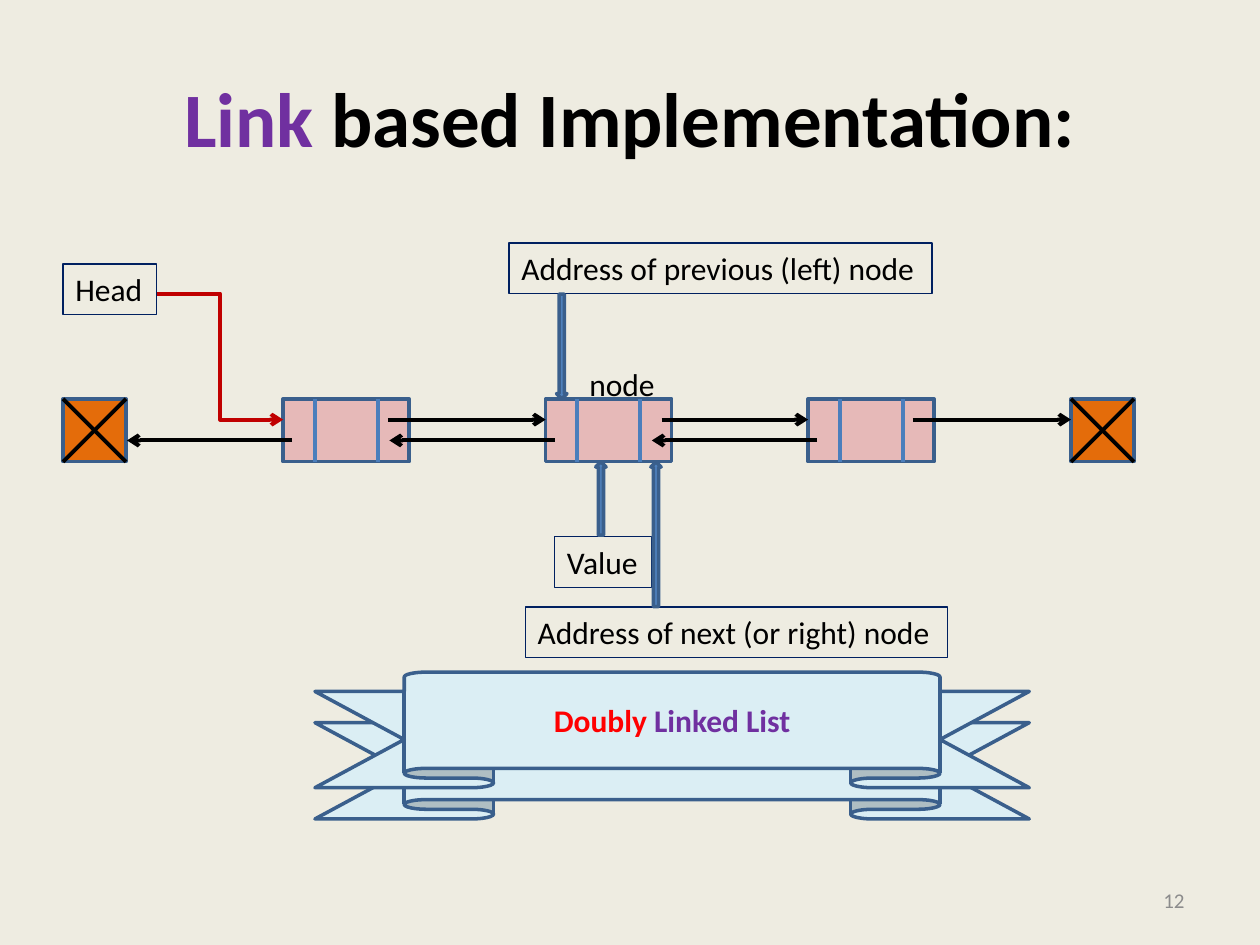
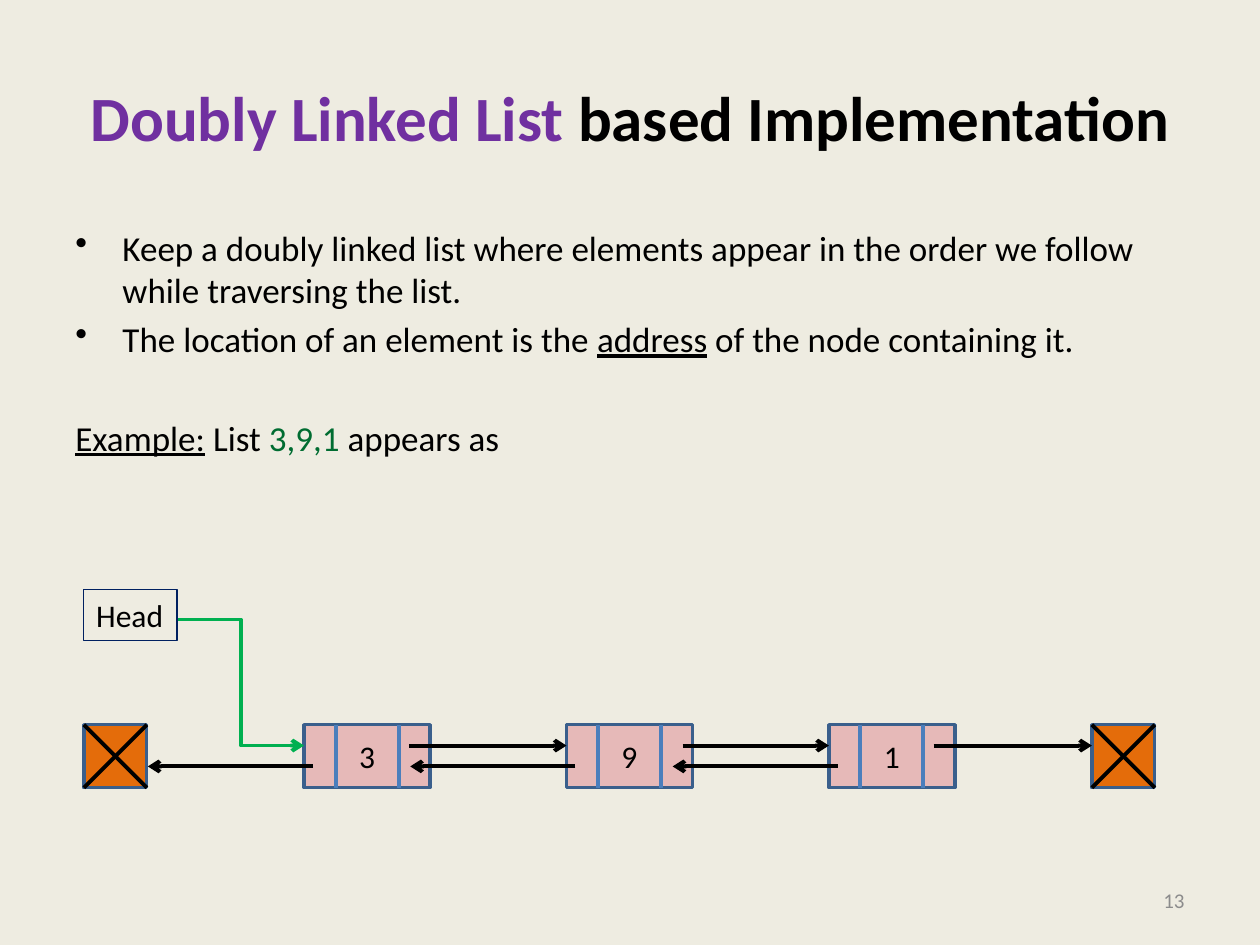
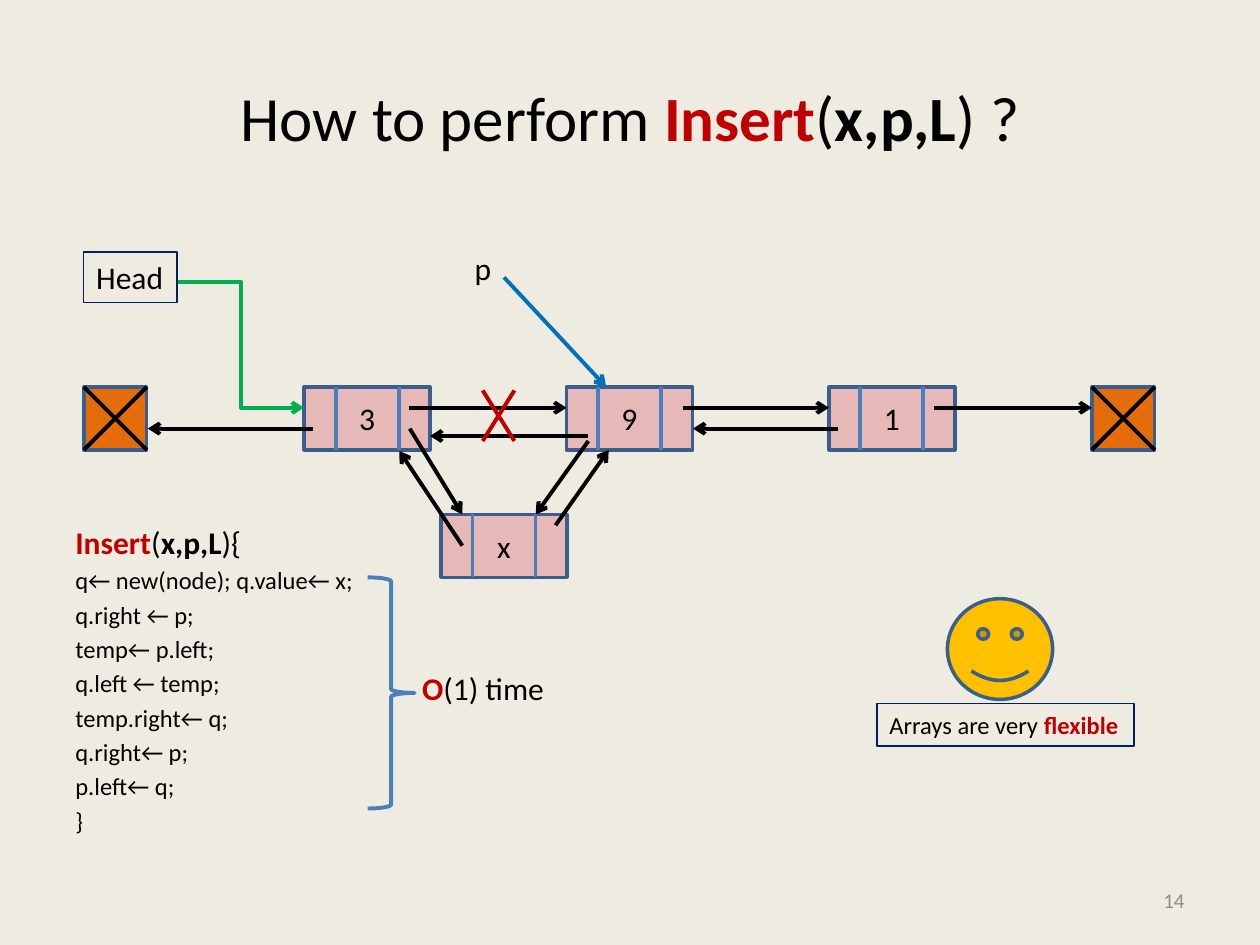
from dataclasses import dataclass
from itertools import pairwise

from lxml.etree import SubElement
from pptx import Presentation
from pptx.dml.color import RGBColor
from pptx.enum.shapes import MSO_CONNECTOR as Link, MSO_SHAPE as Preset
from pptx.enum.text import MSO_ANCHOR as Anchor, MSO_AUTO_SIZE as AutoSize, PP_ALIGN as Align
from pptx.oxml.ns import qn
from pptx.util import Cm, Pt


@dataclass(frozen=True)
class Theme:
    """Colours, type sizes and line widths of the deck."""
    font: str = "Calibri"
    paper: str = "EEECE1"
    ink: str = "000000"
    purple: str = "7030A0"
    red: str = "C00000"
    bright_red: str = "FF0000"
    green: str = "00B050"
    dark_green: str = "006C31"
    blue: str = "0070C0"
    grey: str = "8C8C8C"
    node: str = "E6B9B8"
    nil: str = "E46C0A"
    pointer: str = "4F81BD"
    ribbon: str = "DBEEF4"
    smiley: str = "FFC000"
    outline: str = "3A5F8C"
    divider: str = "4B7EBC"
    frame: str = "002060"
    title: int = 36
    big_title: int = 44
    body: int = 20
    label: int = 18
    code: int = 14
    number: int = 12
    edge: float = 2
    stroke: float = 2.25
    hairline: float = 0.75


THEME = Theme()

NODE_WIDTH, CELL_HEIGHT = 2.54, 1.27
FIRST_NODE, NODE_PITCH, RIGHT_NIL = 4.44, 5.29, 20.32
NEXT_DROP, PREVIOUS_DROP = 0.42, 0.84
NEXT_STARTS = (2.11, 2.34, 2.11)
PREVIOUS_LINK = (0.18, 3.33, PREVIOUS_DROP)
LABEL_HEIGHT = 1.02


@dataclass(frozen=True)
class Span:
    """A stretch of text with one look."""
    text: str
    color: str = THEME.ink
    bold: bool = False
    underline: bool = False


def rgb(color):
    """Turn a hex string into a colour."""
    return RGBColor.from_string(color)


def write(paragraph, spans, size, align=Align.LEFT, space_before=0):
    """Fill a paragraph with spans that share font and size."""
    paragraph.alignment = align
    paragraph.space_before = Pt(space_before)
    paragraph.font.name = THEME.font
    paragraph.font.size = Pt(size)
    for span in spans:
        run = paragraph.add_run()
        run.text = span.text
        run.font.color.rgb = rgb(span.color)
        run.font.bold = span.bold
        run.font.underline = span.underline


def add_title(slide, spans, size=THEME.title):
    """Place and write the slide title."""
    title = slide.shapes.title
    title.left, title.top, title.width, title.height = Cm(1.27), Cm(0.76), Cm(22.86), Cm(3.18)
    title.text_frame.vertical_anchor = Anchor.MIDDLE
    write(title.text_frame.paragraphs[0], spans, size, Align.CENTER)


def add_text_area(slide, left, top, width, height):
    """Add a wrapping text box and return its frame."""
    area = slide.shapes.add_textbox(Cm(left), Cm(top), Cm(width), Cm(height)).text_frame
    area.word_wrap = True
    return area


def add_number(slide, number):
    """Add the slide number at the bottom right."""
    area = add_text_area(slide, 18.2, 17.65, 5.93, 1.01)
    area.vertical_anchor = Anchor.MIDDLE
    write(area.paragraphs[0], [Span(str(number), THEME.grey)], THEME.number, Align.RIGHT)


def add_label(slide, left, top, width, spans, framed=True, size=THEME.label, height=LABEL_HEIGHT):
    """Add a one-line label, framed or bare."""
    label = slide.shapes.add_textbox(Cm(left), Cm(top), Cm(width), Cm(height))
    label.text_frame.word_wrap = False
    label.text_frame.auto_size = AutoSize.SHAPE_TO_FIT_TEXT
    if framed:
        label.line.color.rgb = rgb(THEME.frame)
        label.line.width = Pt(THEME.hairline)
    write(label.text_frame.paragraphs[0], spans, size)


def add_preset(slide, preset, left, top, width, height, fill, spans=()):
    """Add an outlined preset shape with optional centred text."""
    shape = slide.shapes.add_shape(preset, Cm(left), Cm(top), Cm(width), Cm(height))
    shape.shadow.inherit = False
    shape.fill.solid()
    shape.fill.fore_color.rgb = rgb(fill)
    shape.line.color.rgb = rgb(THEME.outline)
    shape.line.width = Pt(THEME.edge)
    if spans:
        shape.text_frame.vertical_anchor = Anchor.MIDDLE
        write(shape.text_frame.paragraphs[0], spans, THEME.label, Align.CENTER)
    return shape


def add_line(slide, start, end, color=THEME.ink, arrow=False, kind=Link.STRAIGHT):
    """Connect two points, with an arrowhead at the end if asked."""
    line = slide.shapes.add_connector(kind, *(Cm(v) for v in (*start, *end)))
    line.line.color.rgb = rgb(color)
    line.line.width = Pt(THEME.stroke)
    properties = line._element.spPr
    if arrow:
        SubElement(properties.find(qn("a:ln")), qn("a:tailEnd"), type="arrow")
    SubElement(properties, qn("a:effectLst"))


def add_cross(slide, left, top, width, height, color=THEME.ink):
    """Draw both diagonals of a rectangle."""
    right, bottom = left + width, top + height
    add_line(slide, (left, top), (right, bottom), color)
    add_line(slide, (right, top), (left, bottom), color)


def add_nil(slide, left, top):
    """Draw the crossed square that ends a list."""
    add_preset(slide, Preset.RECTANGLE, left, top, CELL_HEIGHT, CELL_HEIGHT, THEME.nil)
    add_cross(slide, left, top, CELL_HEIGHT, CELL_HEIGHT)


def add_node(slide, left, top, value=""):
    """Draw a node with its two address fields and value."""
    spans = [Span(value)] if value else ()
    add_preset(slide, Preset.RECTANGLE, left, top, NODE_WIDTH, CELL_HEIGHT, THEME.node, spans)
    for share in (0.25, 0.75):
        x = left + share * NODE_WIDTH
        add_line(slide, (x, top), (x, top + CELL_HEIGHT), THEME.divider)


def add_linked_list(slide, left, top, values, head_color, previous_links=(PREVIOUS_LINK,) * 3):
    """Draw a doubly linked list with its head and both ends."""
    nodes = [left + FIRST_NODE + i * NODE_PITCH for i in range(len(values))]
    end = left + RIGHT_NIL
    for x, value in zip(nodes, values):
        add_node(slide, x, top, value)
    for x in (left, end):
        add_nil(slide, x, top)
    next_y = top + NEXT_DROP
    for (x, target), offset in zip(pairwise([*nodes, end]), NEXT_STARTS):
        add_line(slide, (x + offset, next_y), (target, next_y), arrow=True)
    for x, (offset, length, drop) in zip(nodes, previous_links):
        start = x + offset
        add_line(slide, (start, top + drop), (start - length, top + drop), arrow=True)
    add_label(slide, left, top - 2.72, 1.88, [Span("Head")])
    add_line(slide, (left + 1.9, top - 2.12), (nodes[0], next_y), head_color, True, Link.ELBOW)


def add_ribbon(slide, top, spans=()):
    """Draw a caption ribbon."""
    ribbon = add_preset(slide, Preset.UP_RIBBON, 6.35, top, 14.4, 2.33, THEME.ribbon, spans)
    ribbon.adjustments[0], ribbon.adjustments[1] = 0.167, 0.75


def add_brace(slide, left, top, width, height):
    """Draw a right brace."""
    brace = add_preset(slide, Preset.RIGHT_BRACE, left, top, width, height, THEME.paper)
    brace.fill.background()
    brace.line.color.rgb = rgb(THEME.divider)
    brace.line.width = Pt(THEME.stroke)


def add_bullet(paragraph):
    """Give a paragraph a hanging bullet."""
    properties = paragraph._p.get_or_add_pPr()
    properties.set("marL", str(Cm(0.95)))
    properties.set("indent", str(-Cm(0.95)))
    default_font = properties.find(qn("a:defRPr"))
    bullet = SubElement(properties, qn("a:buChar"), char="•")
    default_font.addprevious(bullet)


def build_structure(slide):
    """Explain the fields of a doubly linked node."""
    add_title(slide, [Span("Link ", THEME.purple, True),
                      Span("based Implementation:", bold=True)], THEME.big_title)
    add_label(slide, 11.63, 7.24, 1.85, [Span("node")], framed=False)
    add_linked_list(slide, 1.27, 8.04, ("", "", ""), THEME.red)
    for text, left, top, width in (
        ("Value", 11.18, 10.82, 1.96),
        ("Address of next (or right) node", 10.59, 12.24, 8.51),
        ("Address of previous (left) node", 10.26, 4.9, 8.53),
    ):
        add_label(slide, left, top, width, [Span(text)])
    for preset, left, top, height in (
        (Preset.UP_ARROW, 12.01, 9.31, 1.48),
        (Preset.UP_ARROW, 13.12, 9.31, 2.92),
        (Preset.DOWN_ARROW, 11.22, 5.93, 2.11),
    ):
        add_preset(slide, preset, left, top, 0.21, height, THEME.pointer)
    add_ribbon(slide, 14.18)
    add_ribbon(slide, 13.55, [Span("Doubly ", THEME.bright_red, True),
                              Span("Linked List", THEME.purple, True)])


def build_example(slide):
    """Show the list 3,9,1 as linked nodes."""
    add_title(slide, [Span("Doubly Linked List", THEME.purple, True),
                      Span(" based Implementation", bold=True)])
    area = add_text_area(slide, 1.27, 4.44, 22.86, 12.57)
    points = (
        [Span("Keep a doubly linked list where elements appear in the order "
              "we follow while traversing the list.")],
        [Span("The location of an element is the "), Span("address", underline=True),
         Span(" of the node containing it.")],
    )
    for i, spans in enumerate(points):
        point = area.add_paragraph() if i else area.paragraphs[0]
        write(point, spans, THEME.body, space_before=4)
        add_bullet(point)
    write(area.add_paragraph(), [Span("Example:", underline=True), Span(" List "),
                                 Span("3,9,1 ", THEME.dark_green), Span("appears as")],
          THEME.body, space_before=32.4)
    add_linked_list(slide, 1.69, 14.61, ("3", "9", "1"), THEME.green)


def build_insert(slide):
    """Show how a node is inserted before p."""
    signature = [Span("Insert", THEME.red, True), Span("("), Span("x,p,L", bold=True)]
    add_title(slide, [Span("How to perform "), *signature, Span(") ?")])
    area = add_text_area(slide, 1.27, 10.41, 8, 6.6)
    write(area.paragraphs[0], [*signature, Span("){")], THEME.label)
    for step in ("q← new(node); q.value← x;", "q.right ← p;", "temp← p.left;",
                 "q.left ← temp;", "temp.right← q;", "q.right← p;", "p.left← q;", "}"):
        write(area.add_paragraph(), [Span(step)], THEME.code, space_before=2.8)

    add_linked_list(slide, 1.69, 7.8, ("3", "9", "1"), THEME.green,
                    (PREVIOUS_LINK, (0.43, 3.18, 0.99), (0.18, 2.92, PREVIOUS_DROP)))
    add_line(slide, (10.16, 5.59), (12.22, 7.8), THEME.blue, arrow=True)
    add_label(slide, 9.32, 4.9, 0.86, [Span("p")], framed=False)
    add_node(slide, 8.89, 10.37, "x")
    add_cross(slide, 9.73, 7.87, 0.64, 1.02, THEME.red)
    for start, end in (
        ((8.26, 8.64), (9.32, 10.37)),
        ((11.86, 8.89), (10.8, 10.37)),
        ((9.32, 11), (8.05, 9.09)),
        ((11.2, 10.59), (12.27, 9.07)),
    ):
        add_line(slide, start, end, arrow=True)

    add_preset(slide, Preset.SMILEY_FACE, 19.1, 12.07, 2.12, 2.03, THEME.smiley)
    add_label(slide, 17.68, 14.18, 5.18, [Span("Arrays are very "),
                                          Span("flexible", THEME.red, True)],
              size=THEME.code, height=0.86)
    add_brace(slide, 7.41, 11.64, 0.95, 4.66)
    add_label(slide, 8.26, 13.36, 3, [Span("O", THEME.red, True), Span("(1) time")], framed=False)


def main():
    """Build and save the deck."""
    deck = Presentation()
    deck.slide_width, deck.slide_height = Cm(25.4), Cm(19.05)
    backdrop = deck.slide_master.background.fill
    backdrop.solid()
    backdrop.fore_color.rgb = rgb(THEME.paper)
    title_only = deck.slide_layouts.get_by_name("Title Only")
    for number, build in enumerate((build_structure, build_example, build_insert), 12):
        slide = deck.slides.add_slide(title_only)
        build(slide)
        add_number(slide, number)
    deck.save("out.pptx")


if __name__ == "__main__":
    main()
